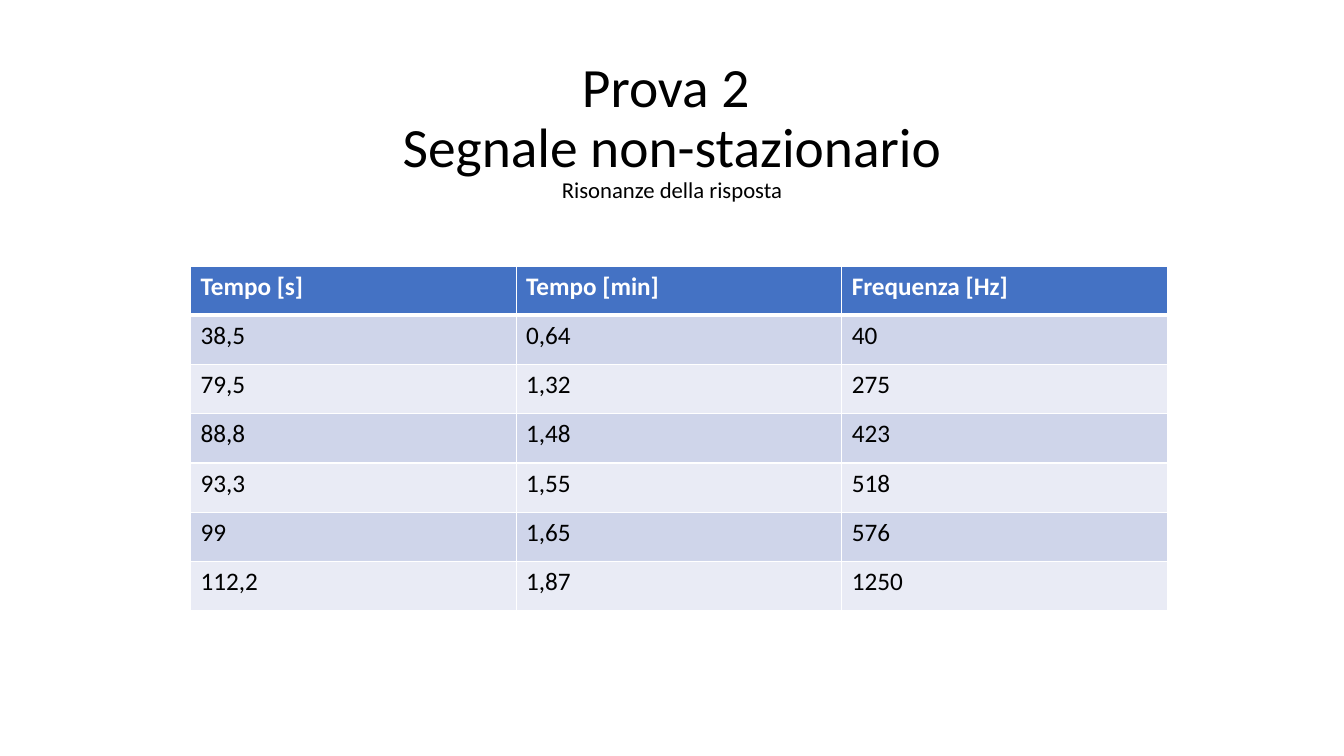
from lxml import etree
from pptx import Presentation
from pptx.dml.color import RGBColor
from pptx.enum.text import MSO_ANCHOR, PP_ALIGN
from pptx.oxml.ns import qn
from pptx.util import Pt

MIDDLE = MSO_ANCHOR.MIDDLE
CENTER = PP_ALIGN.CENTER
FONT = "Calibri"
BLACK, WHITE = "000000", "FFFFFF"
HEADER_FILL = "4472C4"
BAND_FILLS = ["CFD5EA", "E9EBF5"]

TITLE_LINES = [
    ("Prova 2 ", 39.6),
    ("Segnale non-stazionario", 39.6),
    ("Risonanze della risposta", 16.2),
]
ROWS = [
    ("Tempo [s]", "Tempo [min]", "Frequenza [Hz]"),
    ("38,5", "0,64", "40"),
    ("79,5", "1,32", "275"),
    ("88,8", "1,48", "423"),
    ("93,3", "1,55", "518"),
    ("99", "1,65", "576"),
    ("112,2", "1,87", "1250"),
]


def rgb(value):
    return RGBColor.from_string(value)


def add_run(p, text, size, color, bold=False):
    r = p.add_run()
    r.text = text
    r.font.color.rgb = rgb(color)
    for name, value in {"name": FONT, "size": Pt(size), "bold": bold}.items():
        setattr(r.font, name, value)


def add_border(cell, side, width):
    ln = etree.SubElement(cell._tc.get_or_add_tcPr(), qn(f"a:ln{side}"), w=str(Pt(width)))
    fill = etree.SubElement(ln, qn("a:solidFill"))
    etree.SubElement(fill, qn("a:srgbClr"), val=WHITE)


def add_title(s, left, top, width, height):
    tf = s.shapes.add_textbox(Pt(left), Pt(top), Pt(width), Pt(height)).text_frame
    frame = {"word_wrap": True, "vertical_anchor": MIDDLE, "margin_bottom": Pt(47)}
    for name, value in frame.items():
        setattr(tf, name, value)
    p = tf.paragraphs[0]
    p.alignment, p.line_spacing = CENTER, 0.9
    for i, (text, size) in enumerate(TITLE_LINES):
        if i:
            p.add_line_break()
        add_run(p, text, size, BLACK)


def add_resonance_table(s, left, top, width, height):
    n_rows, n_cols = len(ROWS), len(ROWS[0])
    table = s.shapes.add_table(
        n_rows, n_cols, Pt(left), Pt(top), Pt(width), Pt(height)
    ).table
    for col in table.columns:
        col.width = Pt(width / n_cols)
    for i, values in enumerate(ROWS):
        table.rows[i].height = Pt(height / n_rows)
        header = i == 0
        for j, text in enumerate(values):
            cell = table.cell(i, j)
            for side in "LRTB":
                add_border(cell, side, 3 if header and side == "B" else 1)
            cell.fill.solid()
            cell.fill.fore_color.rgb = rgb(HEADER_FILL if header else BAND_FILLS[(i - 1) % 2])
            p = cell.text_frame.paragraphs[0]
            add_run(p, text, 18, WHITE if header else BLACK, header)


def main():
    prs = Presentation()
    prs.slide_width, prs.slide_height = Pt(960), Pt(540)
    s = prs.slides.add_slide(prs.slide_layouts[6])
    add_resonance_table(s, 136.1, 190.1, 697.7, 246.2)
    add_title(s, 66, 63.4, 828, 104.4)
    prs.save("out.pptx")


if __name__ == "__main__":
    main()
